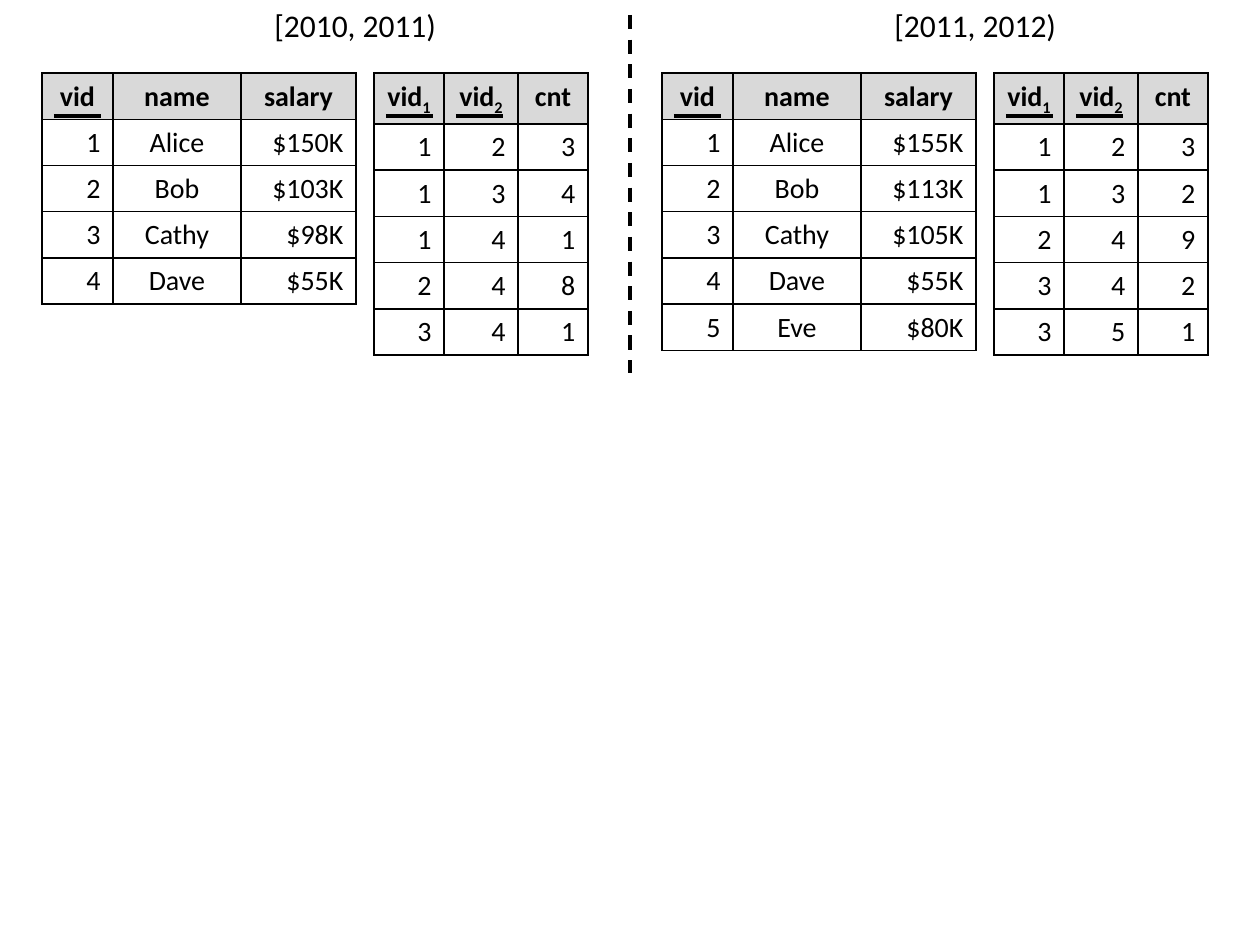
"""Two yearly snapshots of a graph, each as a vertex table and an edge table."""
from lxml import etree
from pptx import Presentation
from pptx import util as u
from pptx.dml.color import RGBColor
from pptx.enum import dml, shapes, text
from pptx.oxml.ns import qn

PX = 914400 // 126
HUE = {"ink": "000000", "head": "D9D9D9"}
FONT = "Calibri"
PEOPLE = [("vid", ""), ("name", ""), ("salary", "")]
LINKS = [("vid", "1"), ("vid", "2"), ("cnt", "")]
YEARS = [
    ("[2010, 2011)",
     [(1, "Alice", "$150K"), (2, "Bob", "$103K"), (3, "Cathy", "$98K"),
      (4, "Dave", "$55K")],
     [(1, 2, 3), (1, 3, 4), (1, 4, 1), (2, 4, 8), (3, 4, 1)]),
    ("[2011, 2012)",
     [(1, "Alice", "$155K"), (2, "Bob", "$113K"), (3, "Cathy", "$105K"),
      (4, "Dave", "$55K"), (5, "Eve", "$80K")],
     [(1, 2, 3), (1, 3, 2), (2, 4, 9), (3, 4, 2), (3, 5, 1)]),
]
STEP, TOP, ROW = 620, 73, 46
KEY_Y, KEY_IN, KEY_W = 116, 12, 47

deck = Presentation()
deck.slide_width, deck.slide_height = 1260 * PX, 945 * PX
slide = deck.slides.add_slide(deck.slide_layouts[6])


def rgb(name):
    return RGBColor.from_string(HUE[name])


def add_run(para, words, size, bold=False, sub=False):
    run = para.add_run()
    run.text = words
    font = run.font
    font.name, font.size, font.bold = FONT, u.Pt(size), bold
    font.color.rgb = rgb("ink")
    if sub:
        run._r.get_or_add_rPr().set("baseline", "-25000")


def add_line(x1, y1, x2, y2, dash=False):
    line = slide.shapes.add_connector(
        shapes.MSO_CONNECTOR.STRAIGHT, x1 * PX, y1 * PX, x2 * PX, y2 * PX)
    line.line.color.rgb = rgb("ink")
    line.line.width = u.Pt(2)
    if dash:
        line.line.dash_style = dml.MSO_LINE.DASH
    etree.SubElement(line._element.spPr, qn("a:effectLst"))


def add_title(x, words):
    box = slide.shapes.add_textbox(x * PX, 0, 189 * PX, 50 * PX)
    frame = box.text_frame
    frame.word_wrap = False
    frame.auto_size = text.MSO_AUTO_SIZE.SHAPE_TO_FIT_TEXT
    add_run(frame.paragraphs[0], words, 18)


def add_edges(cell):
    props = cell._tc.get_or_add_tcPr()
    for spot, side in enumerate(("a:lnL", "a:lnR", "a:lnT", "a:lnB")):
        edge = etree.Element(qn(side), w=str(u.Pt(1)))
        fill = etree.SubElement(edge, qn("a:solidFill"))
        etree.SubElement(fill, qn("a:srgbClr"), val=HUE["ink"])
        props.insert(spot, edge)


def add_grid(x, cols, head, rows, keys):
    grid = slide.shapes.add_table(
        len(rows) + 1, len(cols), x * PX, TOP * PX,
        sum(cols) * PX, ROW * (len(rows) + 1) * PX).table
    grid.first_row = grid.horz_banding = False
    for col, wide in zip(grid.columns, cols):
        col.width = wide * PX
    for r, row in enumerate([head] + rows):
        grid.rows[r].height = ROW * PX
        for c, item in enumerate(row):
            cell = grid.cell(r, c)
            para = cell.text_frame.paragraphs[0]
            if r == 0:
                cell.fill.solid()
                cell.fill.fore_color.rgb = rgb("head")
                add_run(para, item[0], 16, bold=True)
                if item[1]:
                    add_run(para, item[1], 16, bold=True, sub=True)
            else:
                cell.fill.background()
                add_run(para, str(item), 16)
            mid = r == 0 or head[c][0] == "name"
            para.alignment = text.PP_ALIGN.CENTER if mid else text.PP_ALIGN.RIGHT
            add_edges(cell)
    for c in range(keys):
        left = x + sum(cols[:c]) + KEY_IN
        add_line(left, KEY_Y, left + KEY_W, KEY_Y)


add_line(630, 15, 630, 373, dash=True)
for i, (span, people, links) in enumerate(YEARS):
    shift = i * STEP
    add_title(262 + shift, span)
    add_grid(42 + shift, (71, 128, 115), PEOPLE, people, 1)
    add_grid(374 + shift, (70, 74, 70), LINKS, links, 2)

deck.save("out.pptx")
